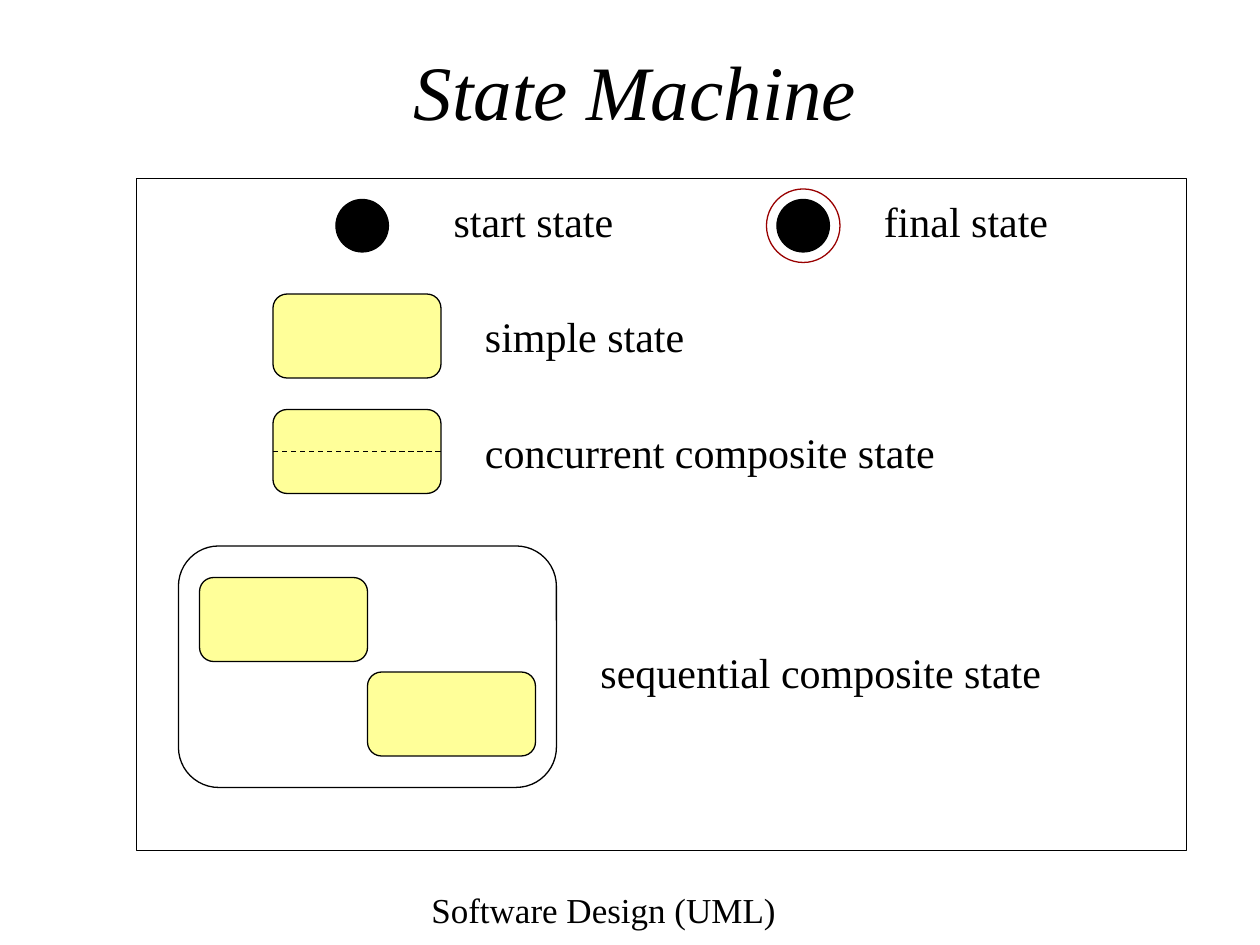
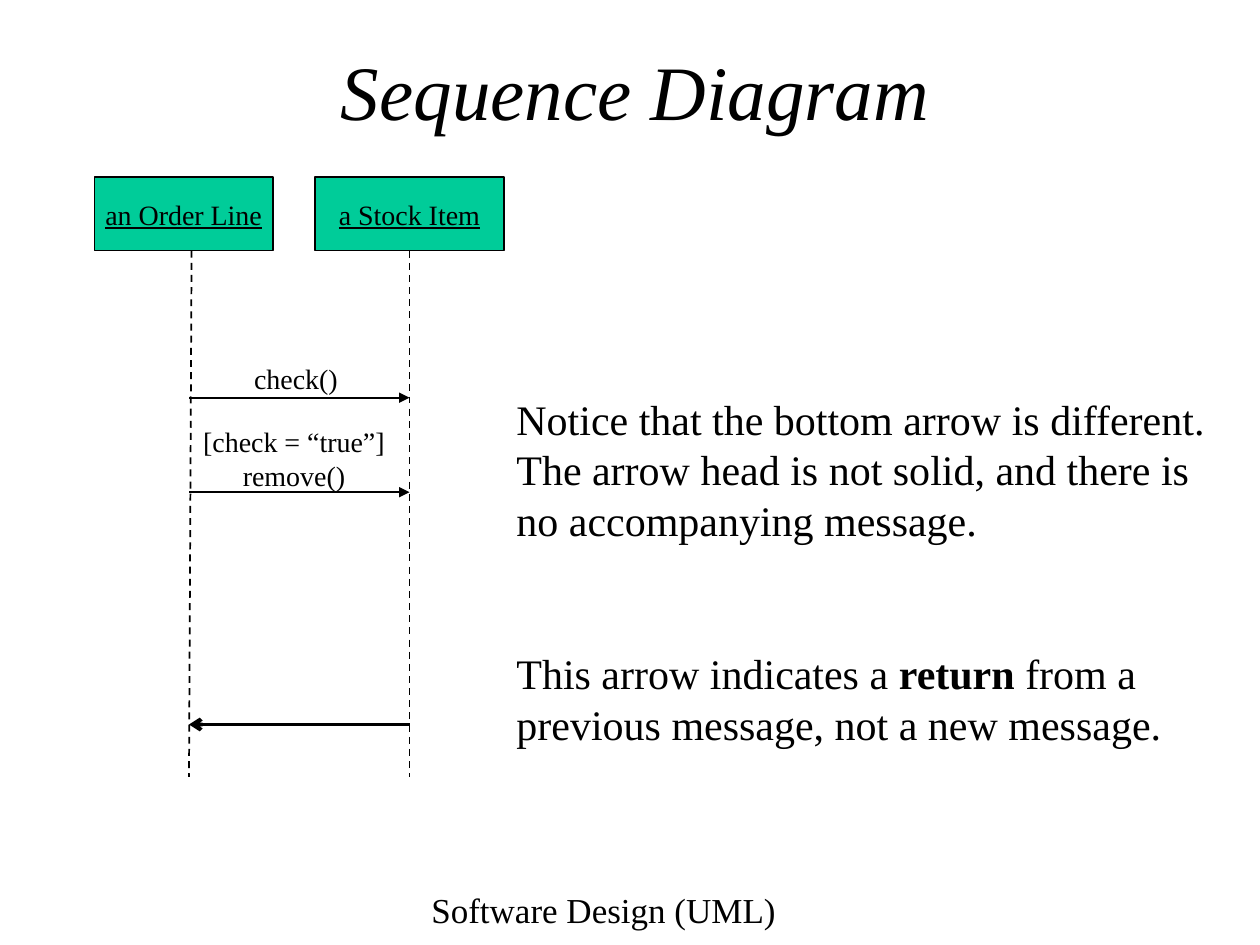
from lxml import etree
from pptx import Presentation
from pptx.dml.color import RGBColor
from pptx.enum.dml import MSO_LINE
from pptx.enum.shapes import MSO_CONNECTOR, MSO_SHAPE
from pptx.enum.text import MSO_ANCHOR, PP_ALIGN
from pptx.oxml.ns import qn
from pptx.util import Pt

PX = 9525
FONT = "Times New Roman"
COLORS = {
    "ink": "000000",
    "state": "FFFF99",
    "object": "00CC99",
    "final": "990000",
}


def add_text(text_frame, text, size, align=PP_ALIGN.CENTER, anchor=MSO_ANCHOR.MIDDLE,
             wrap=False, gap=0, italic=False, underline=False):
    text_frame.text = text
    text_frame.word_wrap = wrap
    text_frame.vertical_anchor = anchor
    for index, paragraph in enumerate(text_frame.paragraphs):
        paragraph.alignment = align
        paragraph.line_spacing = Pt(size * 1.2)
        if index:
            paragraph.space_before = Pt(gap)
        font = paragraph.font
        font.name = FONT
        font.size = Pt(size)
        font.italic = italic
        font.underline = underline
        font.color.rgb = RGBColor.from_string(COLORS["ink"])


def add_figure(slide, kind, box, fill=None, line="ink", width=0.75):
    shape = slide.shapes.add_shape(kind, *[value * PX for value in box])
    shape.shadow.inherit = False
    if fill:
        shape.fill.solid()
        shape.fill.fore_color.rgb = RGBColor.from_string(COLORS[fill])
    else:
        shape.fill.background()
    shape.line.color.rgb = RGBColor.from_string(COLORS[line])
    shape.line.width = Pt(width)
    return shape


presentation = Presentation()
presentation.slide_width = 960 * PX
presentation.slide_height = 720 * PX

slides = []
for title in ("State Machine", "Sequence Diagram"):
    slide = presentation.slides.add_slide(presentation.slide_layouts[6])
    footer_box = slide.shapes.add_textbox(248 * PX, 672 * PX, 424 * PX, 48 * PX)
    add_text(footer_box.text_frame, "Software Design (UML)", 20, anchor=MSO_ANCHOR.TOP, wrap=True)
    title_box = slide.shapes.add_textbox(72 * PX, 40 * PX, 824 * PX, 56 * PX)
    add_text(title_box.text_frame, title, 44, wrap=True, italic=True)
    slides.append(slide)
state_slide, sequence_slide = slides

add_figure(state_slide, MSO_SHAPE.RECTANGLE, (104, 136, 800, 512))
for left in (256, 592):
    add_figure(state_slide, MSO_SHAPE.OVAL, (left, 152, 40, 40), fill="ink")
add_figure(state_slide, MSO_SHAPE.OVAL, (584, 144, 56, 56), line="final")
for left, top in ((208, 224), (208, 312), (280, 512), (152, 440)):
    add_figure(state_slide, MSO_SHAPE.ROUNDED_RECTANGLE, (left, top, 128, 64), fill="state")
add_figure(state_slide, MSO_SHAPE.ROUNDED_RECTANGLE, (136, 416, 288, 184))

state_labels = [
    ("start state", 332, 144, 149),
    ("final state", 660, 144, 152),
    ("simple state", 356, 232, 179),
    ("concurrent composite state", 356, 320, 370),
    ("sequential composite state", 444, 488, 363),
]
for text, left, top, width in state_labels:
    label = state_slide.shapes.add_textbox(left * PX, top * PX, width * PX, 48 * PX)
    add_text(label.text_frame, text, 24)

for text, left, width in (("an Order Line", 72, 136), ("a Stock Item", 240, 144)):
    header = add_figure(sequence_slide, MSO_SHAPE.RECTANGLE, (left, 135, width, 56),
                        fill="object", width=1)
    add_text(header.text_frame, text, 16, underline=True)

lines = [
    (state_slide, (208, 344, 336, 344), 0.75, True, None),
    (sequence_slide, (146, 191, 144, 592), 1, True, None),
    (sequence_slide, (312, 191, 312, 592), 1, True, None),
    (sequence_slide, (144, 303, 312, 303), 1, False, "triangle"),
    (sequence_slide, (144, 375, 312, 375), 1, False, "triangle"),
    (sequence_slide, (312, 552, 144, 552), 2.25, False, "arrow"),
]
for slide, ends, width, dashed, arrowhead in lines:
    connector = slide.shapes.add_connector(MSO_CONNECTOR.STRAIGHT, *[value * PX for value in ends])
    connector.line.color.rgb = RGBColor.from_string(COLORS["ink"])
    connector.line.width = Pt(width)
    if dashed:
        connector.line.dash_style = MSO_LINE.DASH
    properties = connector._element.spPr
    if arrowhead:
        etree.SubElement(properties.find(qn("a:ln")), qn("a:tailEnd"), type=arrowhead)
    etree.SubElement(properties, qn("a:effectLst"))

messages = [
    ("check()", 180, 271, 91, 36),
    ("[check = “true”]\nremove()", 134, 319, 180, 61),
]
for text, left, top, width, height in messages:
    message = sequence_slide.shapes.add_textbox(left * PX, top * PX, width * PX, height * PX)
    add_text(message.text_frame, text, 16, anchor=MSO_ANCHOR.TOP)

notice = ("Notice that the bottom arrow is different. The arrow head is not solid, "
          "and there is no accompanying message.")
explanation = sequence_slide.shapes.add_textbox(384 * PX, 295 * PX, 544 * PX, 280 * PX)
add_text(explanation.text_frame, notice + "\nThis arrow indicates a ", 24,
         align=PP_ALIGN.LEFT, wrap=True, gap=59)
return_paragraph = explanation.text_frame.paragraphs[1]
for text, bold in (("return", True), (" from a previous message, not a new message.", False)):
    run = return_paragraph.add_run()
    run.text = text
    run.font.bold = bold

presentation.save("out.pptx")
